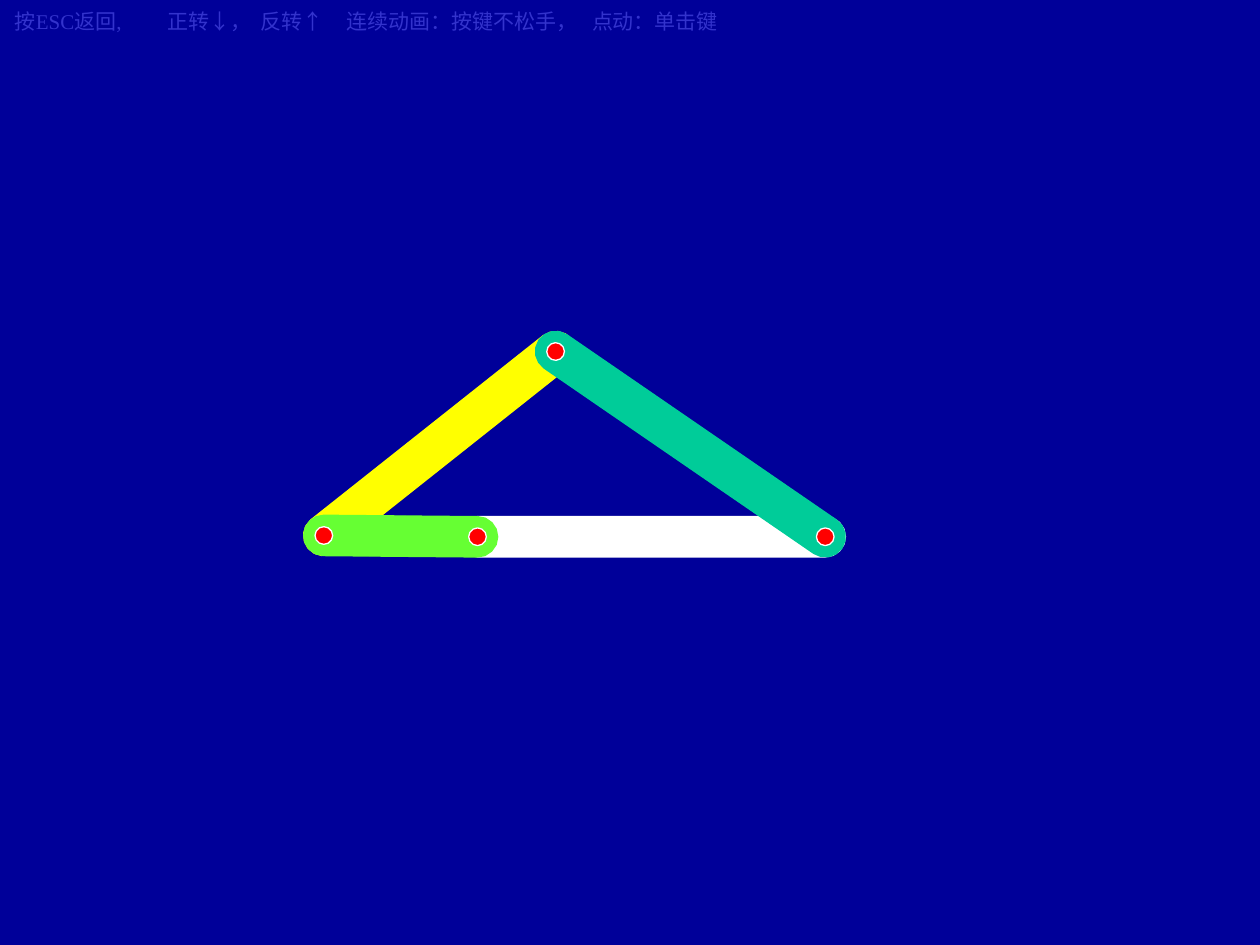
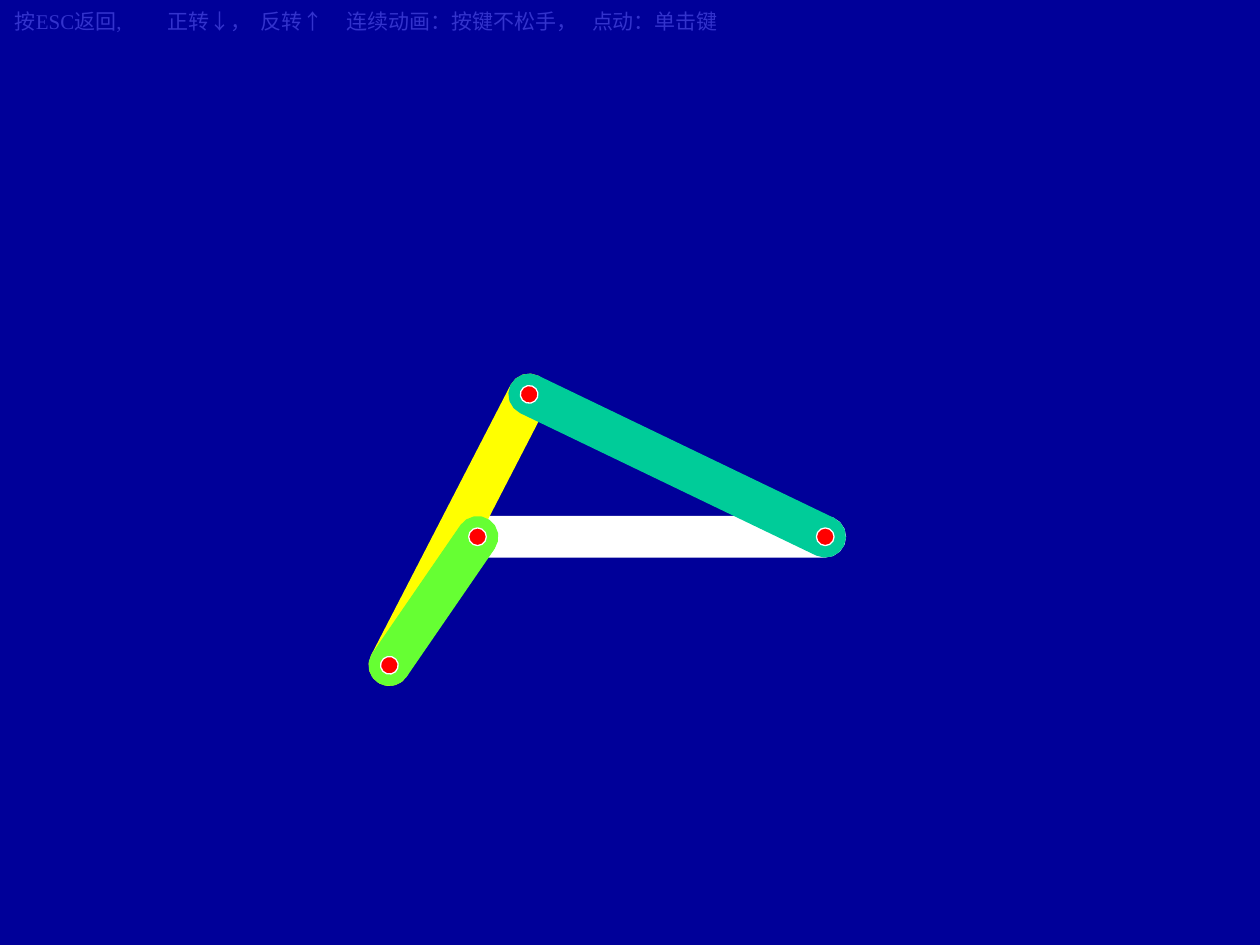
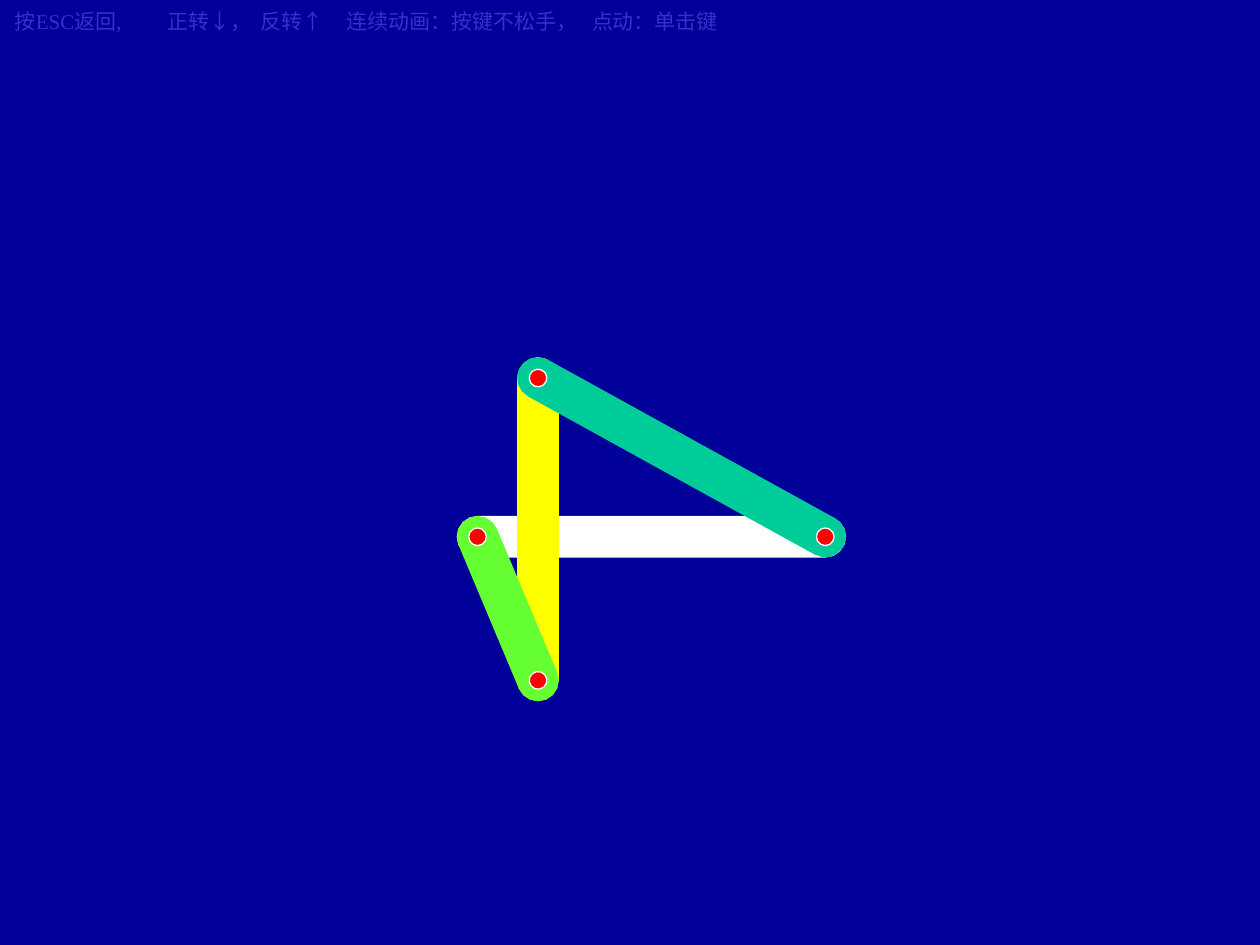
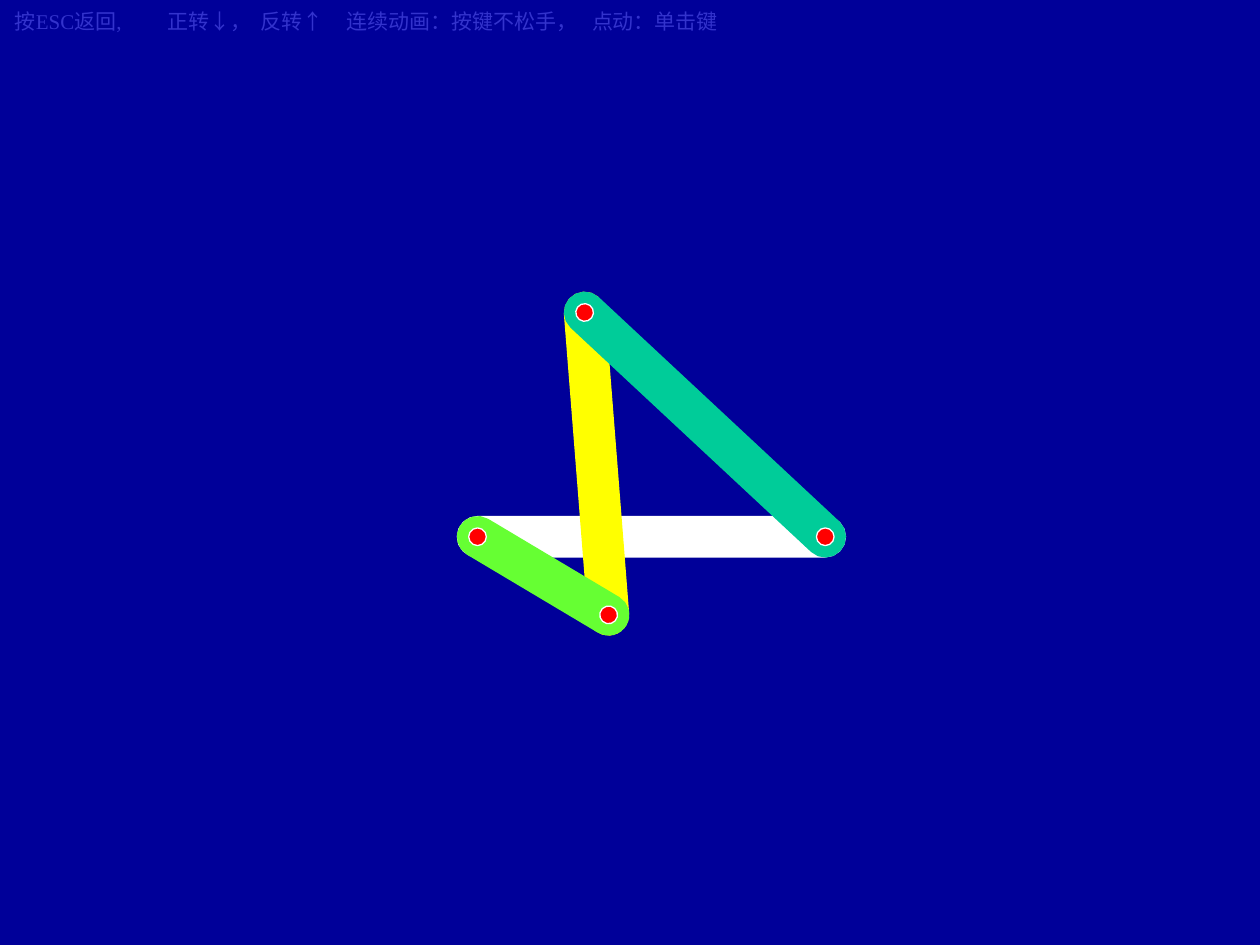
import math

import pptx
import pptx.dml.color
import pptx.enum.shapes
import pptx.enum.text
import pptx.util
from lxml import etree
from pptx.oxml.ns import qn
from pptx.util import Inches, Pt

BACKGROUND = "000099"
HINT_COLOR = "3333CC"
GROUND_COLOR = "FFFFFF"
COUPLER_COLOR = "FFFF00"
CRANK_COLOR = "66FF33"
ROCKER_COLOR = "00CC99"
PIN_COLOR = "FF0000"
PIN_EDGE = "FFFFFF"

HINTS = ["按ESC返回,", "正转↓，", "反转↑", "连续动画：按键不松手，", "点动：单击键"]
HINT_TABS = [1.21, 1.95, 2.63, 4.58]
HINT_FONT = "Times New Roman"

# Fixed pivots, in inches
CRANK_PIVOT = (3.79, 4.26)
ROCKER_PIVOT = (6.55, 4.26)

# Direction, in degrees, in which each link is drawn before it is turned
COUPLER_BASE = -31.1
ROCKER_BASE = 66.4
CRANK_BASE = -102.8

# Crank pin, rocker pin and the crank's base direction on each slide
POSES = [
    ((2.57, 4.25), (4.41, 2.79), 180),
    ((3.09, 5.28), (4.20, 3.13), CRANK_BASE),
    ((4.27, 5.40), (4.27, 3.00), CRANK_BASE),
    ((4.83, 4.88), (4.64, 2.48), CRANK_BASE),
]

LINK_RADIUS = 0.16
PIN_SIZE = 0.14
END_STEPS = 8


def rgb(color):
    return pptx.dml.color.RGBColor.from_string(color)


def paint(sp, fill, line):
    sp.shadow.inherit = False
    sp.fill.solid()
    sp.fill.fore_color.rgb = rgb(fill)
    sp.line.color.rgb = rgb(line)
    sp.line.width = Pt(0.75)


def add_link(slide, start, end, base, color):
    """Draw a round-ended bar at its base angle, turn it onto its joints, return the turn."""
    dx, dy = end[0] - start[0], end[1] - start[1]
    half = math.hypot(dx, dy) / 2
    cx, cy = (start[0] + end[0]) / 2, (start[1] + end[1]) / 2
    points = []
    for side in (1, -1):
        direction = math.radians(base) + (0 if side == 1 else math.pi)
        joint_x = cx + half * math.cos(direction)
        joint_y = cy + half * math.sin(direction)
        for step in range(END_STEPS + 1):
            angle = direction - math.pi / 2 + math.pi * step / END_STEPS
            points.append((Inches(joint_x + LINK_RADIUS * math.cos(angle)),
                           Inches(joint_y + LINK_RADIUS * math.sin(angle))))
    builder = slide.shapes.build_freeform(*points[0])
    builder.add_line_segments(points[1:], close=True)
    sp = builder.convert_to_shape()
    turn = round(math.degrees(math.atan2(dy, dx)) - base, 1) % 360
    sp.rotation = turn
    paint(sp, color, color)
    return turn


def add_pin(slide, center, turn=0):
    x, y = center
    sp = slide.shapes.add_shape(
        pptx.enum.shapes.MSO_SHAPE.OVAL,
        Inches(x - PIN_SIZE / 2), Inches(y - PIN_SIZE / 2),
        Inches(PIN_SIZE), Inches(PIN_SIZE))
    sp.rotation = turn
    paint(sp, PIN_COLOR, PIN_EDGE)


def add_hints(slide):
    sp = slide.shapes.add_textbox(Inches(0.02), Inches(0.02), Inches(6.49), Inches(0.3))
    tf = sp.text_frame
    tf.word_wrap = True
    tf.auto_size = pptx.enum.text.MSO_AUTO_SIZE.SHAPE_TO_FIT_TEXT
    p = tf.paragraphs[0]
    p.text = "\t".join(HINTS)
    p.font.name = HINT_FONT
    p.font.size = Pt(12)
    p.font.color.rgb = rgb(HINT_COLOR)
    tabs = etree.Element(qn("a:tabLst"))
    for stop in HINT_TABS:
        etree.SubElement(tabs, qn("a:tab"), pos=str(Inches(stop)), algn="l")
    p._p.get_or_add_pPr().insert(0, tabs)


def add_linkage(slide, crank_pin, rocker_pin, crank_base):
    add_link(slide, CRANK_PIVOT, ROCKER_PIVOT, 0, GROUND_COLOR)
    add_link(slide, crank_pin, rocker_pin, COUPLER_BASE, COUPLER_COLOR)
    crank_turn = add_link(slide, CRANK_PIVOT, crank_pin, crank_base, CRANK_COLOR)
    add_pin(slide, crank_pin, crank_turn)
    rocker_turn = add_link(slide, rocker_pin, ROCKER_PIVOT, ROCKER_BASE, ROCKER_COLOR)
    add_pin(slide, rocker_pin, rocker_turn)
    add_pin(slide, ROCKER_PIVOT)
    add_pin(slide, CRANK_PIVOT)


def main():
    prs = pptx.Presentation()
    prs.slide_width, prs.slide_height = Inches(10), Inches(7.5)
    background = prs.slide_master.background.fill
    background.solid()
    background.fore_color.rgb = rgb(BACKGROUND)
    blank = prs.slide_layouts.get_by_name("Blank")
    for pose in POSES:
        slide = prs.slides.add_slide(blank)
        add_linkage(slide, *pose)
        add_hints(slide)
    prs.save("out.pptx")


if __name__ == "__main__":
    main()
